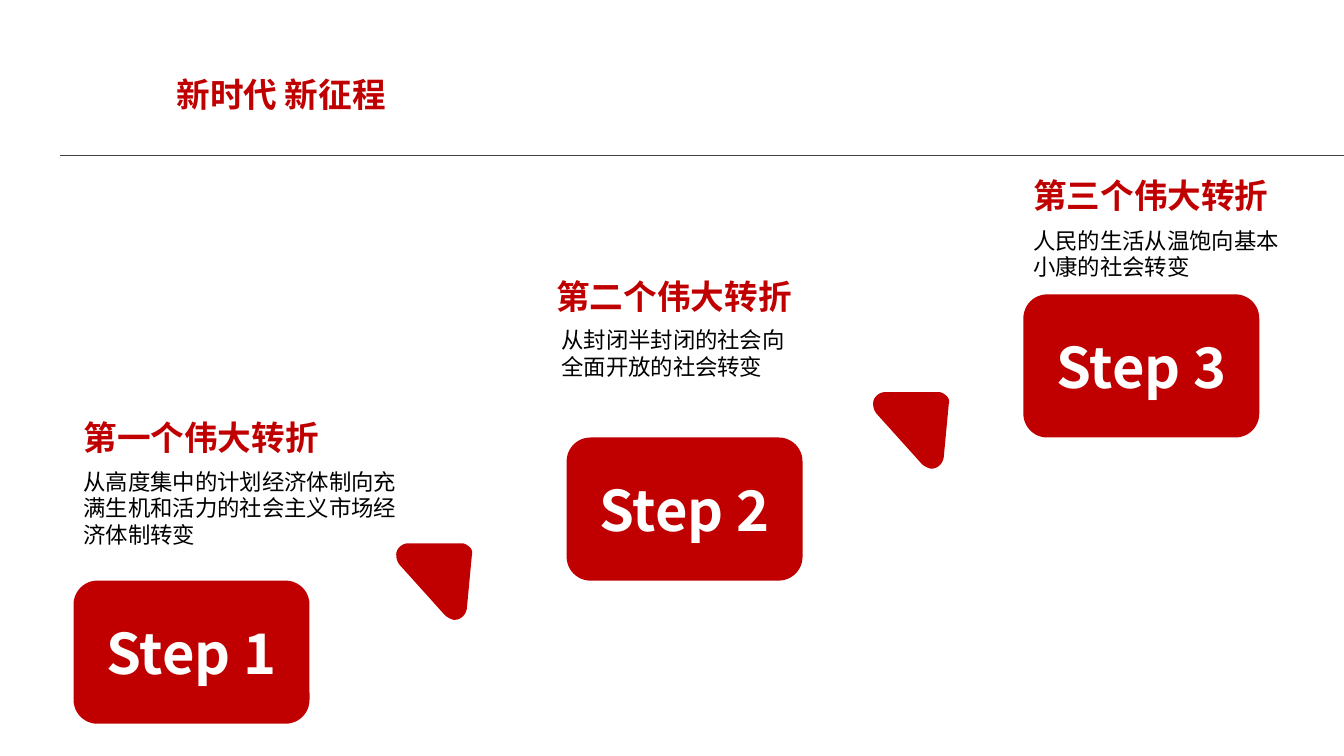
"""Build a slide of three rising steps, joined by rounded arrowheads."""
from lxml.etree import SubElement
from pptx import Presentation
from pptx.dml.color import RGBColor
from pptx.enum.shapes import MSO_CONNECTOR, MSO_SHAPE
from pptx.enum.text import MSO_ANCHOR, MSO_AUTO_SIZE, PP_ALIGN
from pptx.oxml.ns import qn
from pptx.util import Inches, Pt

FONT = "Noto Sans CJK SC"
COLORS = {"red": "C00000", "rule": "404040", "white": "FFFFFF", "black": "000000"}
SLIDE_SIZE = (13.33, 7.5)
TITLE = ("新时代 新征程", (1.65, 0.52, 5.25, 0.63))
RULE = (0.6, 13.33, 1.54)
CARD_SIZE = (2.34, 1.42)
HEADING_SIZE = (2.54, 0.5)
STEPS = [
    {"label": "Step 1", "card": (0.73, 5.76),
     "heading": "第一个伟大转折", "heading_at": (0.73, 4.09),
     "detail": "从高度集中的计划经济体制向充满生机和活力的社会主义市场经济体制转变",
     "detail_box": (0.73, 4.59, 3.4, 0.91)},
    {"label": "Step 2", "card": (5.62, 4.34),
     "heading": "第二个伟大转折", "heading_at": (5.42, 2.69),
     "detail": "从封闭半封闭的社会向全面开放的社会转变",
     "detail_box": (5.47, 3.19, 2.46, 0.64)},
    {"label": "Step 3", "card": (10.15, 2.92),
     "heading": "第三个伟大转折", "heading_at": (10.15, 1.69),
     "detail": "人民的生活从温饱向基本小康的社会转变",
     "detail_box": (10.15, 2.2, 2.75, 0.64)},
]
ARROWS = [(3.93, 5.39), (8.66, 3.89)]
ARROW_CORNERS = [
    [(0.65, 0), (0.68, 0), (0.71, 0.02), (0.73, 0.04)],
    [(0.73, 0.04), (0.75, 0.06), (0.76, 0.09), (0.75, 0.12)],
    [(0.7, 0.65), (0.69, 0.71), (0.64, 0.76), (0.58, 0.76)],
    [(0.57, 0.76), (0.54, 0.75), (0.51, 0.74), (0.48, 0.71)],
    [(0.03, 0.21), (0.01, 0.18), (0, 0.15), (0, 0.11)],
    [(0, 0.11), (0, 0.05), (0.06, 0), (0.12, 0)],
]
CURVE_STEPS = 8


def color(name):
    return RGBColor.from_string(COLORS[name])


def inches(values):
    return [Inches(value) for value in values]


def write(shape, text, size=16, tint="black", bold=False, align=PP_ALIGN.LEFT,
          anchor=MSO_ANCHOR.TOP, wrap=True, spacing=1.0, fit=MSO_AUTO_SIZE.NONE):
    frame = shape.text_frame
    frame.auto_size, frame.word_wrap, frame.vertical_anchor = fit, wrap, anchor
    paragraph = frame.paragraphs[0]
    paragraph.alignment, paragraph.line_spacing = align, spacing
    run = paragraph.add_run()
    run.text = text
    run.font.name, run.font.size, run.font.bold = FONT, Pt(size), bold
    run.font.color.rgb = color(tint)
    SubElement(run.font._element, qn("a:ea")).set("typeface", FONT)


def paint(shape):
    shape.shadow.inherit = False
    shape.fill.solid()
    shape.fill.fore_color.rgb = color("red")
    shape.line.fill.background()


def curve_points(curve):
    for index in range(CURVE_STEPS + 1):
        t = index / CURVE_STEPS
        weights = ((1 - t) ** 3, 3 * t * (1 - t) ** 2, 3 * t * t * (1 - t), t ** 3)
        yield tuple(sum(w * p[axis] for w, p in zip(weights, curve)) for axis in (0, 1))


def add_arrow(shapes, left, top):
    outline = [(Inches(left + x), Inches(top + y))
               for corner in ARROW_CORNERS for x, y in curve_points(corner)]
    builder = shapes.build_freeform(*outline[0])
    builder.add_line_segments(outline[1:], close=True)
    paint(builder.convert_to_shape())


def add_step(shapes, step):
    card = shapes.add_shape(MSO_SHAPE.FLOWCHART_ALTERNATE_PROCESS,
                            *inches(step["card"] + CARD_SIZE))
    paint(card)
    write(card, step["label"], size=40, tint="white", bold=True,
          align=PP_ALIGN.CENTER, anchor=MSO_ANCHOR.MIDDLE)
    heading = shapes.add_textbox(*inches(step["heading_at"] + HEADING_SIZE))
    write(heading, step["heading"], size=24, tint="red", bold=True, wrap=False,
          fit=MSO_AUTO_SIZE.SHAPE_TO_FIT_TEXT)
    detail = shapes.add_textbox(*inches(step["detail_box"]))
    write(detail, step["detail"], fit=MSO_AUTO_SIZE.SHAPE_TO_FIT_TEXT)


def main():
    deck = Presentation()
    deck.slide_width, deck.slide_height = inches(SLIDE_SIZE)
    shapes = deck.slides.add_slide(deck.slide_layouts[5]).shapes

    text, box = TITLE
    title = shapes.title
    title.left, title.top, title.width, title.height = inches(box)
    write(title, text, size=24, tint="red", bold=True,
          anchor=MSO_ANCHOR.MIDDLE, spacing=1.5)

    left, right, height = RULE
    rule = shapes.add_connector(MSO_CONNECTOR.STRAIGHT,
                                *inches((left, height, right, height)))
    rule.line.color.rgb, rule.line.width = color("rule"), Pt(0.75)
    SubElement(rule._element.spPr, qn("a:effectLst"))

    for step in STEPS:
        add_step(shapes, step)
    for left, top in ARROWS:
        add_arrow(shapes, left, top)
    deck.save("out.pptx")


if __name__ == "__main__":
    main()
